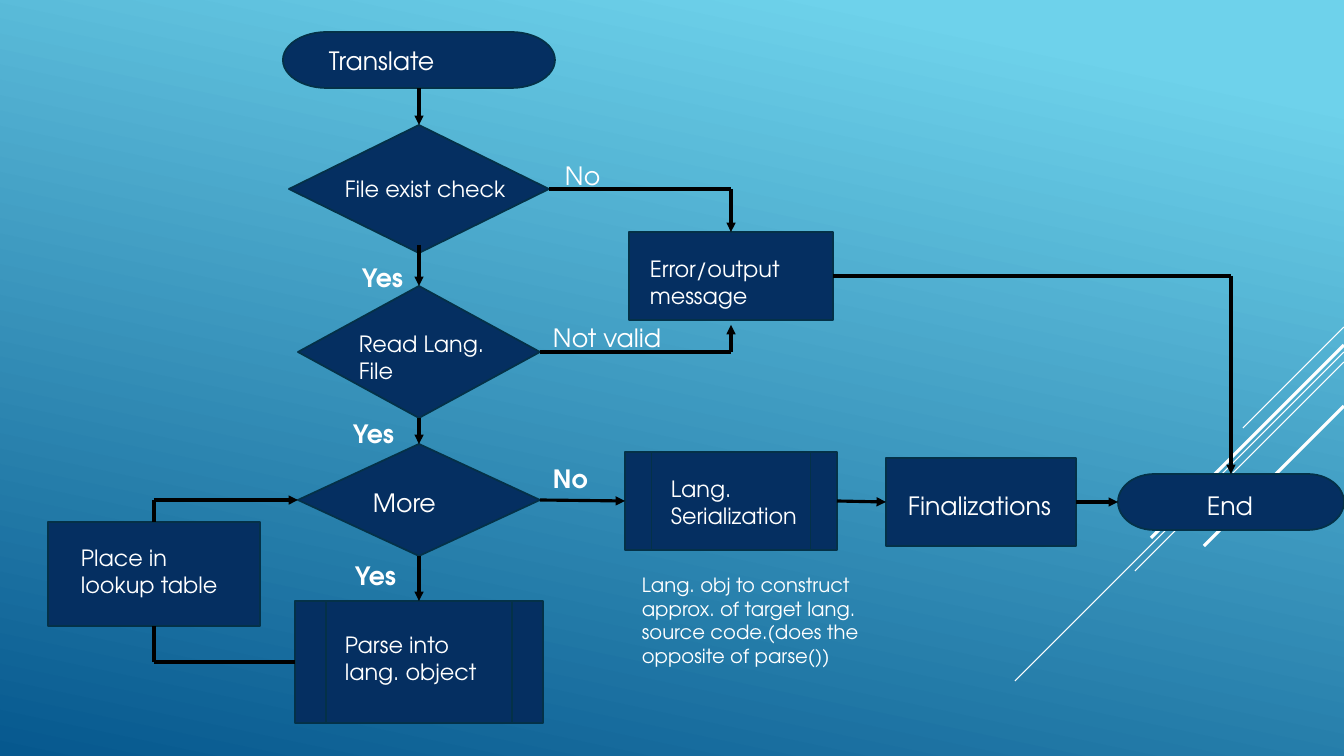
from lxml.etree import SubElement
from pptx import Presentation
from pptx.dml.color import RGBColor
from pptx.enum.shapes import MSO_CONNECTOR, MSO_SHAPE as SHAPE
from pptx.enum.text import MSO_AUTO_SIZE
from pptx.oxml.ns import qn
from pptx.util import Pt

EMU_PER_PX = 914400 / 100.8
WIDTH, HEIGHT = 1344, 756
FONT = "TeX Gyre Adventor"
WHITE, BLACK, NAVY, EDGE = "FFFFFF", "000000", "052F61", "043148"
TOP, LEFT, BOTTOM, RIGHT = range(4)


def px(n):
    return round(n * EMU_PER_PX)


def color(value):
    return RGBColor.from_string(value)


def background(slide):
    fill = slide.background.fill
    fill.gradient()
    fill.gradient_angle = 258
    for stop, (position, value) in zip(fill.gradient_stops, [(0.1, "6ED2EB"), (1, "06588E")]):
        stop.position = position
        stop.color.rgb = color(value)


def node(slide, kind, x, y, w, h):
    sp = slide.shapes.add_shape(kind, px(x), px(y), px(w), px(h))
    sp.shadow.inherit = False
    sp.fill.solid()
    sp.fill.fore_color.rgb = color(NAVY)
    sp.line.color.rgb = color(EDGE)
    sp.line.width = Pt(1.25)
    return sp


def line(slide, start, end, arrow=False, value=BLACK, width=2.25):
    joined = [not isinstance(point[0], int) for point in (start, end)]
    ends = [(0, 0) if join else point for join, point in zip(joined, (start, end))]
    cxn = slide.shapes.add_connector(
        MSO_CONNECTOR.STRAIGHT, *[px(n) for point in ends for n in point])
    if joined[0]:
        cxn.begin_connect(*start)
    if joined[1]:
        cxn.end_connect(*end)
    cxn.line.color.rgb = color(value)
    cxn.line.width = Pt(width)
    sp_pr = cxn._element.spPr
    if arrow:
        SubElement(sp_pr.find(qn("a:ln")), qn("a:tailEnd"), type="triangle")
    SubElement(sp_pr, qn("a:effectLst"))


def label(slide, text, x, y, w, h, size=16, bold=False):
    sp = slide.shapes.add_textbox(px(x), px(y), px(w), px(h))
    tf = sp.text_frame
    tf.word_wrap = True
    tf.auto_size = MSO_AUTO_SIZE.SHAPE_TO_FIT_TEXT
    tf.text = text
    font = tf.paragraphs[0].runs[0].font
    font.name = FONT
    font.size = Pt(size)
    font.bold = bold
    font.color.rgb = color(WHITE)


def streaks(slide):
    for y, run, width in [(327, 101, 0.75), (352, 329, 0.75), (362, 209, 0.75),
                          (345, 193, 2.25), (406, 140, 2.25)]:
        line(slide, (WIDTH, y), (WIDTH - run, y + run), value=WHITE, width=width)


def flow(slide):
    translate = node(slide, SHAPE.FLOWCHART_TERMINATOR, 283, 32, 272, 56)
    exists = node(slide, SHAPE.FLOWCHART_DECISION, 289, 125, 260, 128)
    read = node(slide, SHAPE.FLOWCHART_DECISION, 298, 286, 242, 132)
    more = node(slide, SHAPE.FLOWCHART_DECISION, 298, 444, 242, 112)
    parse_box = node(slide, SHAPE.FLOWCHART_PREDEFINED_PROCESS, 295, 601, 248, 122)
    lookup = node(slide, SHAPE.FLOWCHART_PROCESS, 48, 522, 212, 104)
    error = node(slide, SHAPE.FLOWCHART_PROCESS, 629, 232, 204, 88)
    serial = node(slide, SHAPE.FLOWCHART_PREDEFINED_PROCESS, 625, 452, 212, 98)
    final = node(slide, SHAPE.FLOWCHART_PROCESS, 886, 458, 190, 88)
    end = node(slide, SHAPE.FLOWCHART_TERMINATOR, 1118, 474, 226, 56)

    for start, stop in [
        ((translate, BOTTOM), (exists, TOP)),
        ((419, 245), (read, TOP)),
        ((read, BOTTOM), (more, TOP)),
        ((more, BOTTOM), (parse_box, TOP)),
        ((154, 500), (more, LEFT)),
        ((more, RIGHT), (serial, LEFT)),
        ((serial, RIGHT), (final, LEFT)),
        ((final, RIGHT), (end, LEFT)),
        ((731, 189), (error, TOP)),
        ((731, 352), (731, 325)),
        ((1231, 276), (end, TOP)),
    ]:
        line(slide, start, stop, arrow=True)

    for start, stop in [
        ((parse_box, LEFT), (154, 662)),
        ((154, 662), (lookup, BOTTOM)),
        ((154, 500), (lookup, TOP)),
        ((exists, RIGHT), (731, 189)),
        ((read, RIGHT), (731, 352)),
        ((error, RIGHT), (1231, 276)),
    ]:
        line(slide, start, stop)


def labels(slide):
    for text, x, y, w, h in [
        ("File exist check", 335, 170, 197, 37),
        ("Read Lang. File", 349, 325, 162, 64),
        ("Parse into lang. object", 335, 626, 155, 64),
        ("Place in lookup table", 71, 539, 173, 64),
        ("Error/output message", 640, 250, 174, 64),
        ("Lang. Serialization", 661, 470, 163, 64),
    ]:
        label(slide, text, x, y, w, h)

    for text, x, y, w in [
        ("Translate", 319, 40, 202),
        ("More", 363, 482, 147),
        ("Finalizations", 898, 485, 165),
        ("End", 1197, 485, 85),
        ("No", 555, 155, 74),
        ("Not valid", 543, 317, 200),
    ]:
        label(slide, text, x, y, w, 40, size=18)

    for text, x, y in [("Yes", 352, 257), ("Yes", 343, 413), ("Yes", 345, 555), ("No", 543, 458)]:
        label(slide, text, x, y, 69, 40, size=18, bold=True)

    label(slide, "Lang. obj to construct approx. of target lang. source code."
                 "(does the opposite of parse())", 632, 568, 249, 105, size=14)


def main():
    prs = Presentation()
    prs.slide_width, prs.slide_height = px(WIDTH), px(HEIGHT)
    slide = prs.slides.add_slide(prs.slide_layouts[6])
    background(slide)
    streaks(slide)
    flow(slide)
    labels(slide)
    prs.save("out.pptx")


if __name__ == "__main__":
    main()
